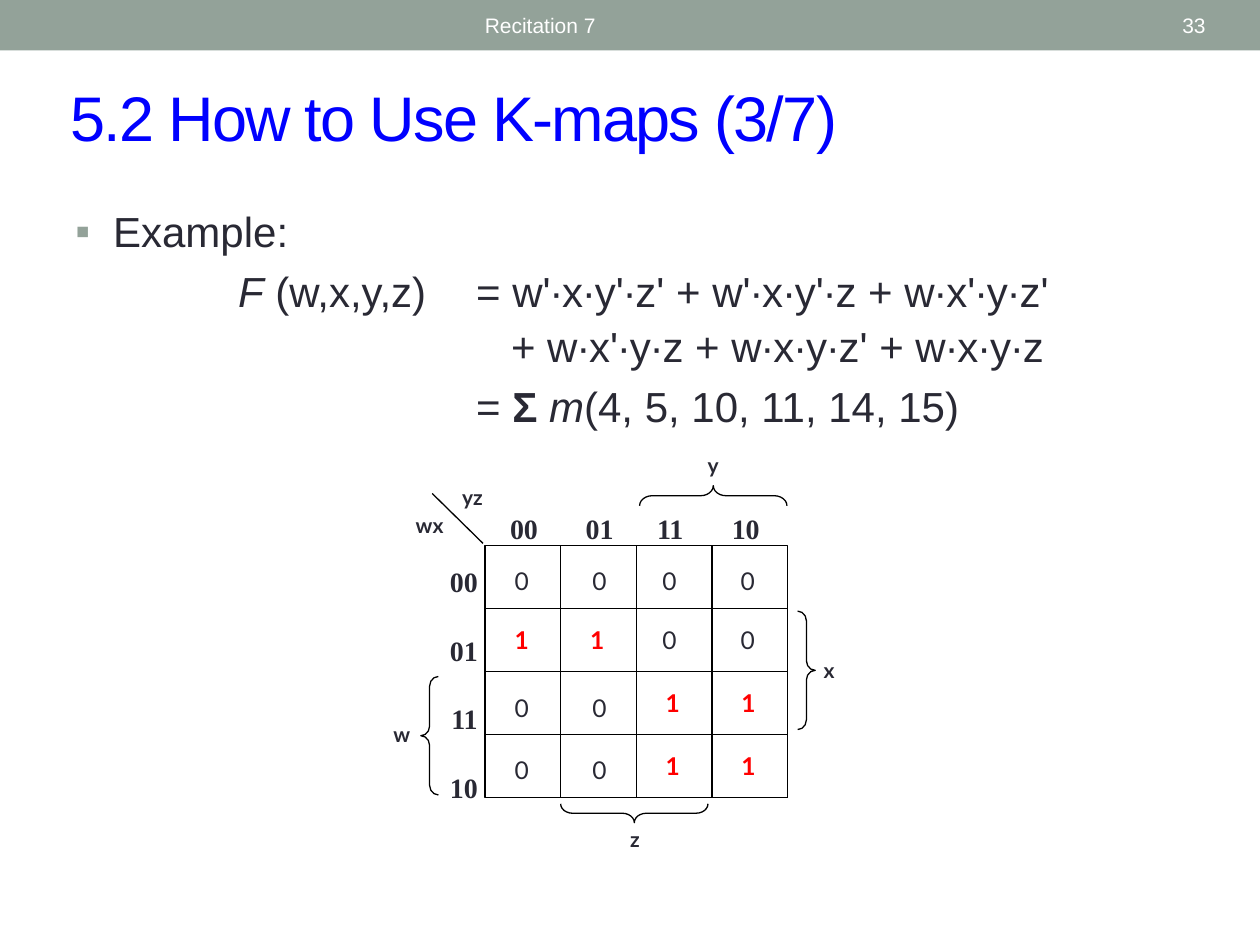
from lxml import etree
from pptx import Presentation
from pptx.dml.color import RGBColor
from pptx.enum import shapes, text
from pptx.oxml.ns import qn
from pptx.util import Pt

INK, RED, SAGE, BLACK, WHITE = "292934", "FF0000", "93A299", "000000", "FFFFFF"
LEFT, MID, RIGHT = text.PP_ALIGN.LEFT, text.PP_ALIGN.CENTER, text.PP_ALIGN.RIGHT

color = RGBColor.from_string


def write(words, box, size, font="Lato", ink=INK, bold=False, align=MID, gap=0):
    """Add a text box with one paragraph per line, gap points apart."""
    frame = slide.shapes.add_textbox(*map(Pt, box)).text_frame
    frame.word_wrap = True
    frame.text = words
    for n, para in enumerate(frame.paragraphs):
        para.alignment = align
        para.font.size, para.font.name, para.font.bold = Pt(size), font, bold
        para.font.color.rgb = color(ink)
        if n:
            para.space_before = Pt(gap)
    return frame


def add_tabs(para, stops):
    tabs = etree.SubElement(para._p.get_or_add_pPr(), qn("a:tabLst"))
    for stop in stops:
        etree.SubElement(tabs, qn("a:tab"), pos=str(Pt(stop)), algn="l")


deck = Presentation()
deck.slide_width, deck.slide_height = Pt(720), Pt(540)
slide = deck.slides.add_slide(deck.slide_layouts[5])

# Header band
band = slide.shapes.add_shape(shapes.MSO_SHAPE.RECTANGLE, 0, 0, Pt(720), Pt(28.8))
band.shadow.inherit = False
band.fill.solid()
band.fill.fore_color.rgb = color(SAGE)
band.line.fill.background()
for words, left, width, align in [("Recitation 7", 270, 324, LEFT), ("33", 628, 68, RIGHT)]:
    frame = write(words, (left, 1.5, width, 26), 12, "Arial", WHITE, align=align)
    frame.vertical_anchor = text.MSO_ANCHOR.MIDDLE

# Title
title = slide.shapes.title
title.left, title.top, title.width, title.height = map(Pt, (33, 41, 653, 50.5))
frame = title.text_frame
frame.text = "5.2 How to Use K-maps (3/7)"
frame.auto_size = text.MSO_AUTO_SIZE.NONE
frame.vertical_anchor = text.MSO_ANCHOR.MIDDLE
para = frame.paragraphs[0]
para.alignment = LEFT
para.font.size, para.font.name = Pt(36), "Arial"
para.font.color.rgb = color("0000FF")
para.runs[0].font._element.set("spc", "-100")

# Example: runs of (words, style), space before, tab stops
lines = [
    ([("Example:", "")], 5.5, []),
    ([("\tF", "i"), (" (w,x,y,z)\t= w'∙x∙y'∙z' + w'∙x∙y'∙z + w∙x'∙y∙z'", "")], 5.5, [93, 229]),
    ([("\t+ w∙x'∙y∙z + w∙x∙y∙z' + w∙x∙y∙z", "")], 2.75, [249]),
    ([("\t= ", ""), ("Σ ", "b"), ("m", "i"), ("(4, 5, 10, 11, 14, 15)", "")], 5.5, [229]),
]
frame = write("\n" * 3, (36, 114, 648, 151), 24, "Arial", align=LEFT)
for para, (runs, gap, stops) in zip(frame.paragraphs, lines):
    para.space_before = Pt(gap)
    for words, style in runs:
        run = para.add_run()
        run.text = words
        run.font.italic, run.font.bold = style == "i", style == "b"
    if stops:
        add_tabs(para, stops)
props = frame.paragraphs[0]._p.get_or_add_pPr()
props.set("marL", str(Pt(21.6)))
props.set("indent", str(-Pt(21.6)))
tint = etree.SubElement(props, qn("a:buClr"))
etree.SubElement(tint, qn("a:srgbClr"), val=SAGE)
etree.SubElement(props, qn("a:buFont"), typeface="Arial")
etree.SubElement(props, qn("a:buChar"), char="▪")

# Map grid
X, Y, W, H = 277.2, 311.8, 43.2, 36
right, base = X + 4 * W, Y + 4 * H
grid = slide.shapes.add_shape(
    shapes.MSO_SHAPE.RECTANGLE, Pt(X), Pt(Y), Pt(4 * W), Pt(4 * H))
rules = [(X, Y + n * H, right, Y + n * H) for n in (1, 2, 3, 4)]
rules += [(X + n * W, Y, X + n * W, base) for n in (1, 2, 3)]
rules.append((276, 310.5, 247, 282))
for ends in rules:
    rule = slide.shapes.add_connector(shapes.MSO_CONNECTOR.STRAIGHT, *map(Pt, ends))
    rule.line.color.rgb = color(BLACK)
    rule.line.width = Pt(0.75)
    etree.SubElement(rule._element.spPr, qn("a:effectLst"))

# Braces: frame before turning, turn, curve
outlines = [grid]
for box, turn, curve in [
    ((240.5, 386.6, 10, 67.7), 0, 0.55),
    ((401.8, 241.2, 11.5, 84.2), 90, 0.63),
    ((357.1, 422.6, 10.8, 84.2), 270, 0.63),
    ((455.8, 349.2, 10, 67.7), 180, 0.55),
]:
    brace = slide.shapes.add_shape(shapes.MSO_SHAPE.LEFT_BRACE, *map(Pt, box))
    brace.rotation = turn
    brace.adjustments[0] = curve
    outlines.append(brace)
for shape in outlines:
    shape.shadow.inherit = False
    shape.fill.background()
    shape.line.color.rgb = color(BLACK)
    shape.line.width = Pt(0.75)

# Variable names and codes
for name, left, top, width in [
    ("w", 213.8, 409, 31.7), ("x", 458, 372.2, 31.7), ("y", 391.7, 254.9, 31.7),
    ("z", 347, 468.7, 31.7), ("wx", 226.8, 289.4, 37.4), ("yz", 251.3, 273.6, 37.4),
]:
    write(name, (left, top, width, 28), 12, bold=True)
write("00\n01\n11\n10", (248.4, 319, 31.7, 149), 16, "Times New Roman",
      bold=True, align=RIGHT, gap=20)
heads = write("00\t01\t11\t10", (284.4, 288.7, 161.3, 28.8), 16, "Times New Roman",
              bold=True, align=LEFT)
add_tabs(heads.paragraphs[0], [43.2, 84, 126.7])

# Cell values: zeros sit a little off the even steps of the ones
lefts, tops = [276.5, 321, 361, 405.7], [319.7, 353.5, 392.4, 427.7]
for row, values in enumerate(["0000", "1100", "0011", "0011"]):
    for col, value in enumerate(values):
        if value == "1":
            write(value, (276.5 + col * W, 317.5 + row * H, W, 28.8), 14, ink=RED, bold=True)
        else:
            write(value, (lefts[col], tops[row], W, 28.8), 14)

deck.save("out.pptx")
